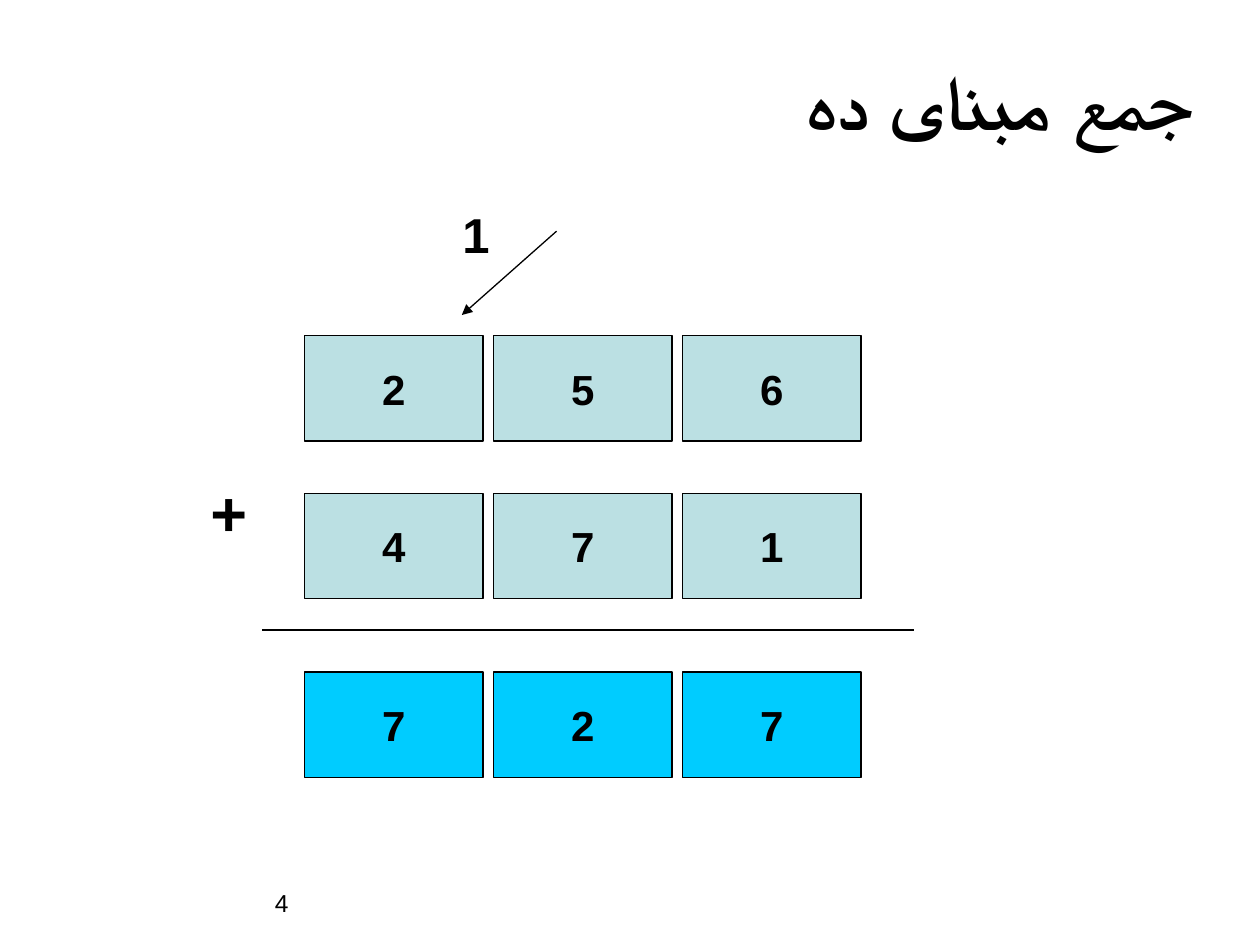
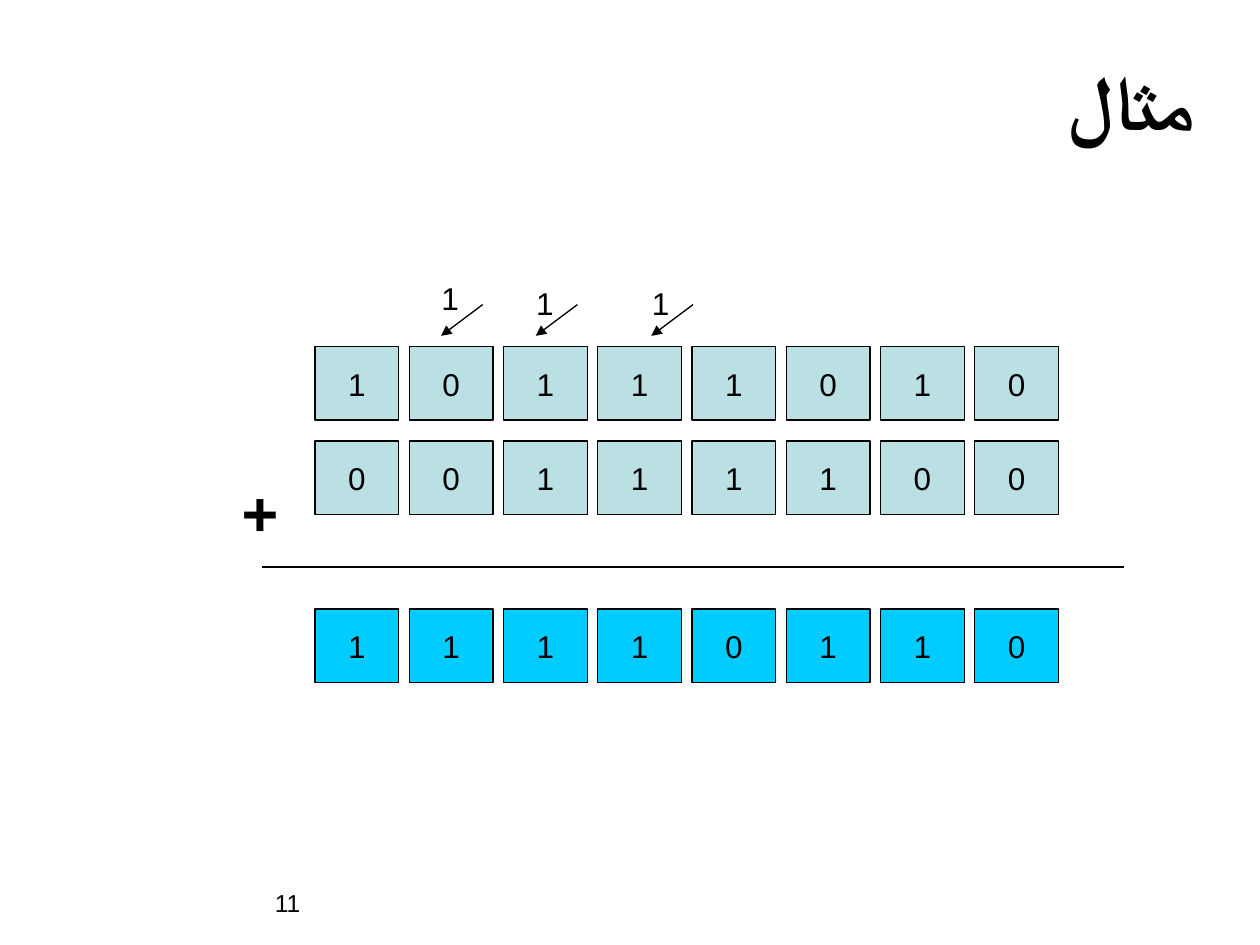
from lxml.etree import SubElement
from pptx import Presentation
from pptx.dml.color import RGBColor
from pptx.enum.shapes import MSO_CONNECTOR, MSO_SHAPE
from pptx.enum.text import MSO_ANCHOR, MSO_AUTO_SIZE, PP_ALIGN
from pptx.oxml.ns import qn
from pptx.util import Cm, Pt

COLORS = {"ink": "000000", "addend": "BBE0E3", "sum": "00CCFF"}
FONT = "Arial"
LINE_WIDTH = Pt(0.75)
DIGIT_GAP = 0.21
RULE_LEFT = 5.29


def color(name):
    """Return the named colour."""
    return RGBColor.from_string(COLORS[name])


def write(shape, text, size=18, bold=False, align=PP_ALIGN.LEFT,
          anchor=MSO_ANCHOR.TOP, wrap=False, rtl=False):
    """Put one formatted paragraph into a shape."""
    frame = shape.text_frame
    frame.word_wrap = wrap
    frame.vertical_anchor = anchor
    paragraph = frame.paragraphs[0]
    paragraph.alignment = align
    run = paragraph.add_run()
    run.text = text
    run.font.name = FONT
    run.font.size = Pt(size)
    run.font.bold = bold
    run.font.color.rgb = color("ink")
    if rtl:
        paragraph._p.get_or_add_pPr().set("rtl", "1")
        SubElement(run._r.get_or_add_rPr(), qn("a:cs"), typeface=FONT)


def add_label(slide, text, left, top, width, height, fit=True, **text_format):
    """Add a text box, fitted to its text unless told otherwise."""
    label = slide.shapes.add_textbox(Cm(left), Cm(top), Cm(width), Cm(height))
    write(label, text, **text_format)
    if fit:
        label.text_frame.auto_size = MSO_AUTO_SIZE.SHAPE_TO_FIT_TEXT


def add_line(slide, start, end, arrow=False):
    """Draw a thin line, with an arrowhead at its end if wanted."""
    line = slide.shapes.add_connector(
        MSO_CONNECTOR.STRAIGHT, *(Cm(value) for value in (*start, *end)))
    line.line.color.rgb = color("ink")
    line.line.width = LINE_WIDTH
    if arrow:
        SubElement(line.line._get_or_add_ln(), qn("a:tailEnd"), type="triangle")
    SubElement(line._element.spPr, qn("a:effectLst"))


def add_number(slide, digits, left, top, width, height, fill, **text_format):
    """Add a row of boxes holding one digit each."""
    for column, digit in enumerate(digits):
        box = slide.shapes.add_shape(
            MSO_SHAPE.RECTANGLE, Cm(left + column * (width + DIGIT_GAP)),
            Cm(top), Cm(width), Cm(height))
        box.shadow.inherit = False
        box.fill.solid()
        box.fill.fore_color.rgb = color(fill)
        box.line.color.rgb = color("ink")
        box.line.width = LINE_WIDTH
        write(box, digit, align=PP_ALIGN.CENTER, anchor=MSO_ANCHOR.MIDDLE,
              **text_format)


def add_addition(slide, numbers, tops, left, width, height, **text_format):
    """Stack two addends and their sum."""
    for digits, top, fill in zip(numbers, tops, ("addend", "addend", "sum")):
        add_number(slide, digits, left, top, width, height, fill, **text_format)


def add_sum_rule(slide, top, right, plus_left):
    """Draw the rule above the sum and the plus sign."""
    add_line(slide, (RULE_LEFT, top), (right, top))
    add_label(slide, "+", plus_left, 9.42, 1.24, 1.78, size=36, bold=True)


def new_slide(deck, title, number):
    """Add a blank slide with its title and page number."""
    slide = deck.slides.add_slide(deck.slide_layouts[6])
    add_label(slide, number, RULE_LEFT, 17.78, 3.81, 1.27, fit=False,
              size=14, wrap=True)
    add_label(slide, title, 4.87, 0.85, 19.47, 2.33, fit=False, size=44,
              bold=True, align=PP_ALIGN.RIGHT, anchor=MSO_ANCHOR.MIDDLE,
              wrap=True, rtl=True)
    return slide


def add_decimal_slide(deck):
    """Build the base ten addition."""
    slide = new_slide(deck, "جمع مبنای ده", "4")
    add_addition(slide, ("256", "471", "727"), (6.77, 9.95, 13.55),
                 left=6.14, width=3.6, height=2.12, size=24, bold=True)
    add_sum_rule(slide, top=12.7, right=18.42, plus_left=3.99)
    add_line(slide, (11.22, 4.66), (9.31, 6.35), arrow=True)
    add_label(slide, "1", 9.07, 3.99, 1.04, 1.45, size=28, bold=True)


def add_binary_slide(deck):
    """Build the binary addition example."""
    slide = new_slide(deck, "مثال", "11")
    add_addition(slide, ("10111010", "00111100", "11110110"),
                 (6.99, 8.89, 12.28), left=6.35, width=1.69, height=1.48)
    add_sum_rule(slide, top=11.43, right=22.65, plus_left=4.62)
    for arrow_left, carry_top in ((13.13, 5.61), (10.8, 5.61), (8.89, 5.51)):
        add_line(slide, (arrow_left + 0.84, 6.14), (arrow_left, 6.77), arrow=True)
        add_label(slide, "1", arrow_left - 0.24, carry_top, 0.86, 1.02)


def main():
    """Build and save the deck."""
    deck = Presentation()
    deck.slide_width, deck.slide_height = Cm(25.4), Cm(19.05)
    add_decimal_slide(deck)
    add_binary_slide(deck)
    deck.save("out.pptx")


if __name__ == "__main__":
    main()
